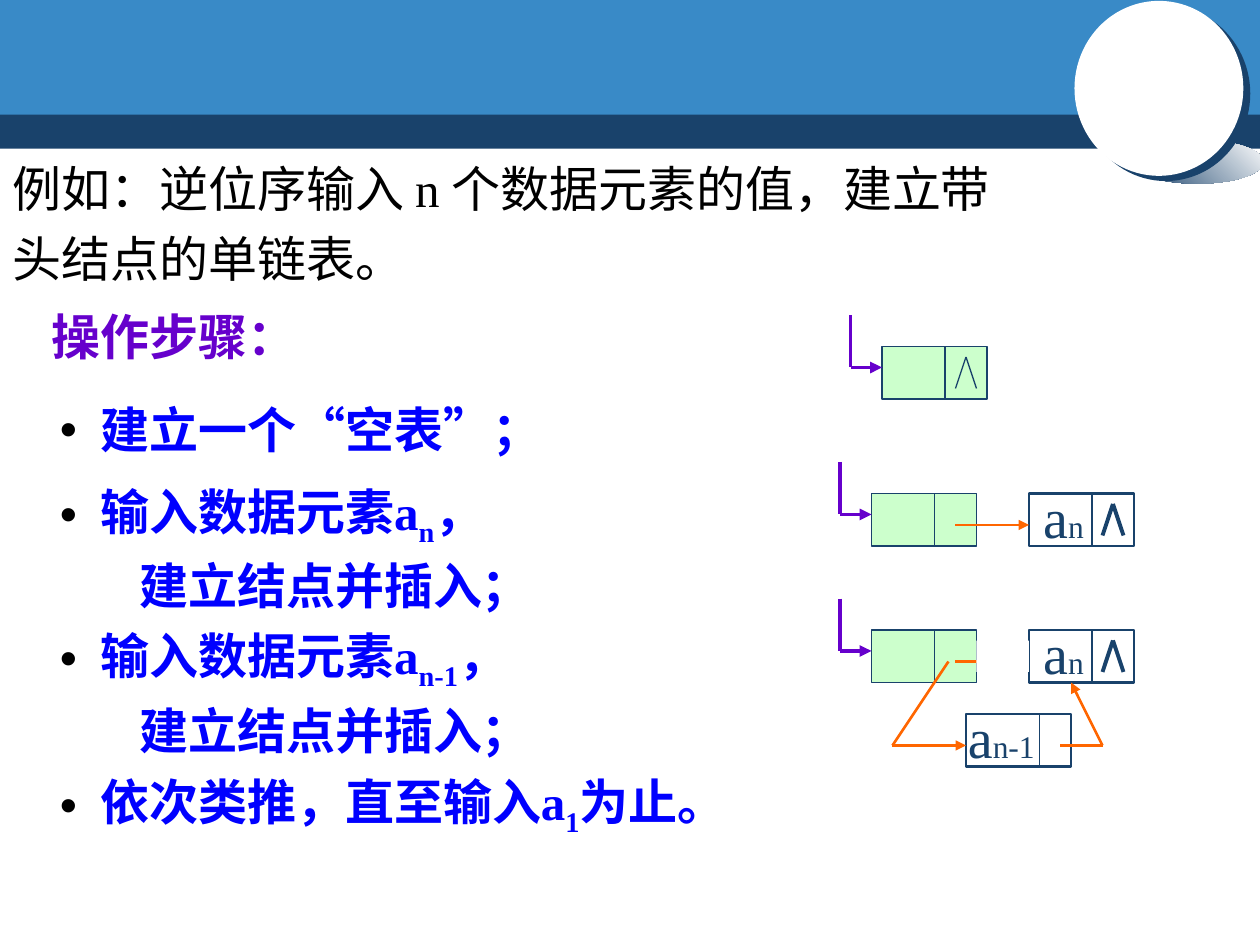
from lxml.etree import SubElement
from pptx import Presentation
from pptx.dml.color import RGBColor
from pptx.enum.shapes import MSO_CONNECTOR, MSO_SHAPE
from pptx.enum.text import MSO_ANCHOR, MSO_AUTO_SIZE, PP_ALIGN
from pptx.oxml.ns import qn
from pptx.util import Pt

COLORS = {"navy": "19426B", "blue": "398AC7", "white": "FFFFFF", "black": "000000",
          "purple": "6600CC", "text": "0000FF", "green": "CCFFCC", "orange": "FF6600"}
FONT = "Times New Roman"
NODE_W, NODE_H = 60, 30


def rgb(name):
    return RGBColor.from_string(COLORS[name])


def apply(obj, **values):
    for name, value in values.items():
        setattr(obj, name, value)


def add_run(p, text, color, size=28, bold=False, sub=False):
    r = p.add_run()
    r.text = text
    apply(r.font, name=FONT, size=Pt(size), bold=bold)
    r.font.color.rgb = rgb(color)
    if sub:
        r.font._element.set("baseline", "-25000")


def set_frame(sp, box, wrap=True):
    apply(sp, **dict(zip(("left", "top", "width", "height"), map(Pt, box))))
    apply(sp.text_frame, word_wrap=wrap, auto_size=MSO_AUTO_SIZE.NONE,
          vertical_anchor=MSO_ANCHOR.TOP)
    return sp.text_frame


def add_text(s, box, wrap=False):
    return set_frame(s.shapes.add_textbox(0, 0, 0, 0), box, wrap)


def add_box(s, box, fill=None, line=None, width=0.75, kind=MSO_SHAPE.RECTANGLE):
    sp = s.shapes.add_shape(kind, *map(Pt, box))
    sp.shadow.inherit = False
    if fill:
        sp.fill.solid()
        sp.fill.fore_color.rgb = rgb(fill)
    else:
        sp.fill.background()
    if line:
        sp.line.color.rgb = rgb(line)
        sp.line.width = Pt(width)
    else:
        sp.line.fill.background()
    return sp


def add_line(s, start, end, color="navy", width=0.75, arrow=False):
    c = s.shapes.add_connector(MSO_CONNECTOR.STRAIGHT, *map(Pt, (*start, *end)))
    c.line.color.rgb = rgb(color)
    c.line.width = Pt(width)
    if arrow:
        SubElement(c.line._get_or_add_ln(), qn("a:tailEnd"), type="triangle")
    SubElement(c._element.spPr, qn("a:effectLst"))


def add_path(s, points, color, width):
    """Straight segments through the points, with an arrowhead on the last one."""
    for i, (start, end) in enumerate(zip(points, points[1:])):
        add_line(s, start, end, color, width, arrow=i == len(points) - 2)


def header(s, x, y, w):
    # Bands
    add_box(s, (x, y + 60.5, w, 24.5), "navy")
    add_box(s, (x, y, w, 65.5), "blue")
    # Disc and its cast shade
    shade = add_box(s, (x + w - 73.5, y + 80, 75.5, 25), "navy", kind=MSO_SHAPE.OVAL)
    shade.fill.gradient()
    shade.fill.gradient_angle = 45
    for stop, color, pos in zip(shade.fill.gradient_stops, ("navy", "white"), (0, 1)):
        stop.color.rgb = rgb(color)
        stop.position = pos
    disc = add_box(s, (x + w - 106, y + 0.5, 96.5, 100), "white", kind=MSO_SHAPE.OVAL)
    effects = disc._element.spPr.find(qn("a:effectLst"))
    shadow = SubElement(effects, qn("a:outerShdw"), blurRad="0", dist=str(Pt(5)),
                        dir=str(37 * 60000), algn="ctr", rotWithShape="0")
    SubElement(shadow, qn("a:srgbClr"), val=COLORS["navy"])


def title(s, box):
    tf = set_frame(s.shapes.title, box)
    lines = ("例如：逆位序输入 n 个数据元素的值，建立带", "头结点的单链表。")
    for i, line in enumerate(lines):
        p = tf.add_paragraph() if i else tf.paragraphs[0]
        apply(p, alignment=PP_ALIGN.LEFT, line_spacing=1.2)
        add_run(p, line, "black")


def steps(s, box):
    x, y, w, h = box
    # Heading
    p = add_text(s, (x - 4.5, y - 49, 155, 41)).paragraphs[0]
    add_run(p, "操作步骤：", "purple", bold=True)
    # Each item: space before, bulleted runs, continuation line
    insert = "建立结点并插入；"
    items = [(0, ("建立一个“空表”；",), None),
             (13, ("输入数据元素a", "n", "，"), insert),
             (6.5, ("输入数据元素a", "n-1", "，"), insert),
             (7.5, ("依次类推，直至输入a", "1", "为止。"), None)]
    tf = set_frame(s.placeholders[1], box)

    def add_item(p, before, margin, indent, bullet):
        apply(p, space_before=Pt(before), line_spacing=Pt(38))
        pPr = p._p.get_or_add_pPr()
        pPr.set("marL", str(Pt(margin)))
        pPr.set("indent", str(Pt(indent)))
        if bullet:
            SubElement(pPr, qn("a:buChar"), char="•")
        else:
            SubElement(pPr, qn("a:buNone"))

    for i, (before, parts, more) in enumerate(items):
        p = tf.add_paragraph() if i else tf.paragraphs[0]
        add_item(p, before, 17, -17, True)
        add_run(p, " ", "black")
        for j, part in enumerate(parts):
            add_run(p, part, "text", bold=True, sub=j == 1)
        if more:
            p = tf.add_paragraph()
            add_item(p, 0, 45.5, 0, False)
            add_run(p, more, "text", bold=True)


def null_mark(s, x, y, width):
    for dx in (42, 54):
        add_line(s, (x + 48, y + 6), (x + dx, y + 24), width=width)


def head_node(s, x, y):
    add_box(s, (x, y, NODE_W, NODE_H), "green", "navy")
    add_line(s, (x + 36, y), (x + 36, y + NODE_H))
    add_path(s, [(x - 18, y - 18), (x - 18, y + 12), (x, y + 12)], "purple", 2.25)


def data_node(s, x, y, sub, split=36, label_dx=1, label_w=37.5):
    add_box(s, (x, y, NODE_W, NODE_H), None, "navy", 1.5)
    add_line(s, (x + split, y), (x + split, y + NODE_H))
    p = add_text(s, (x + label_dx, y - 10, label_w, 45)).paragraphs[0]
    add_run(p, "a", "navy", 32)
    add_run(p, sub, "navy", 18)


def empty_list(s, x, y):
    head_node(s, x, y)
    null_mark(s, x, y, 0.75)


def one_node_list(s, x, y):
    head_node(s, x, y)
    null_mark(s, x + 90, y, 2.25)
    data_node(s, x + 90, y, "n")
    add_path(s, [(x + 48, y + 18), (x + 90, y + 18)], "orange", 1.5)


def two_node_list(s, x, y):
    one_node_list(s, x, y)
    # Inserted node and its links
    data_node(s, x + 54, y + 48, "n-1", split=42, label_dx=-6, label_w=52.5)
    add_path(s, [(x + 108, y + 66), (x + 132, y + 66), (x + 114, y + 30)], "orange", 1.5)
    add_path(s, [(x + 44, y + 18), (x + 12, y + 66), (x + 54, y + 66)], "orange", 1.5)
    # Removed link
    add_box(s, (x + 60, y + 6, 30, 18), "white")


def main():
    prs = Presentation()
    prs.slide_width, prs.slide_height = Pt(720), Pt(540)
    s = prs.slides.add_slide(prs.slide_layouts[1])
    header(s, 0, 0, 720)
    title(s, (0, 80, 700, 88))
    steps(s, (27, 220.5, 402, 300))
    empty_list(s, 504, 198)
    one_node_list(s, 498, 282)
    two_node_list(s, 498, 360)
    prs.save("out.pptx")


if __name__ == "__main__":
    main()
